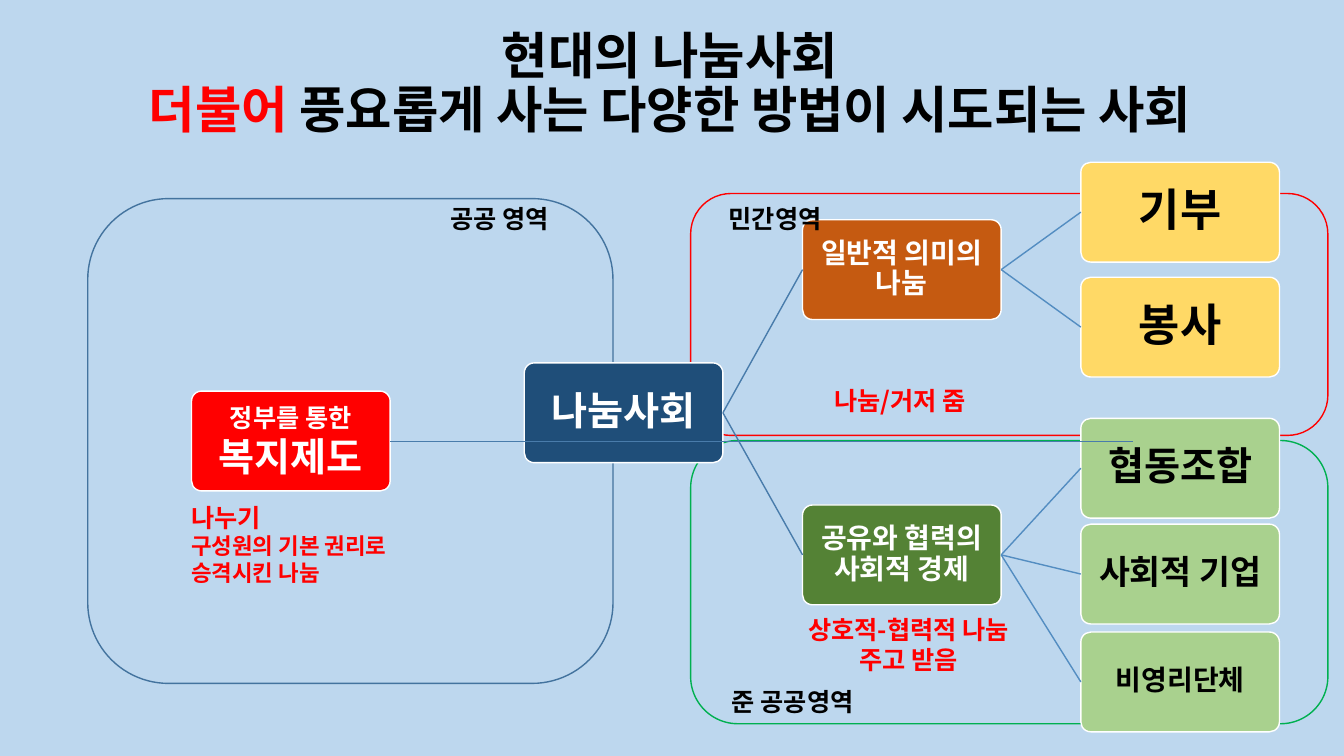
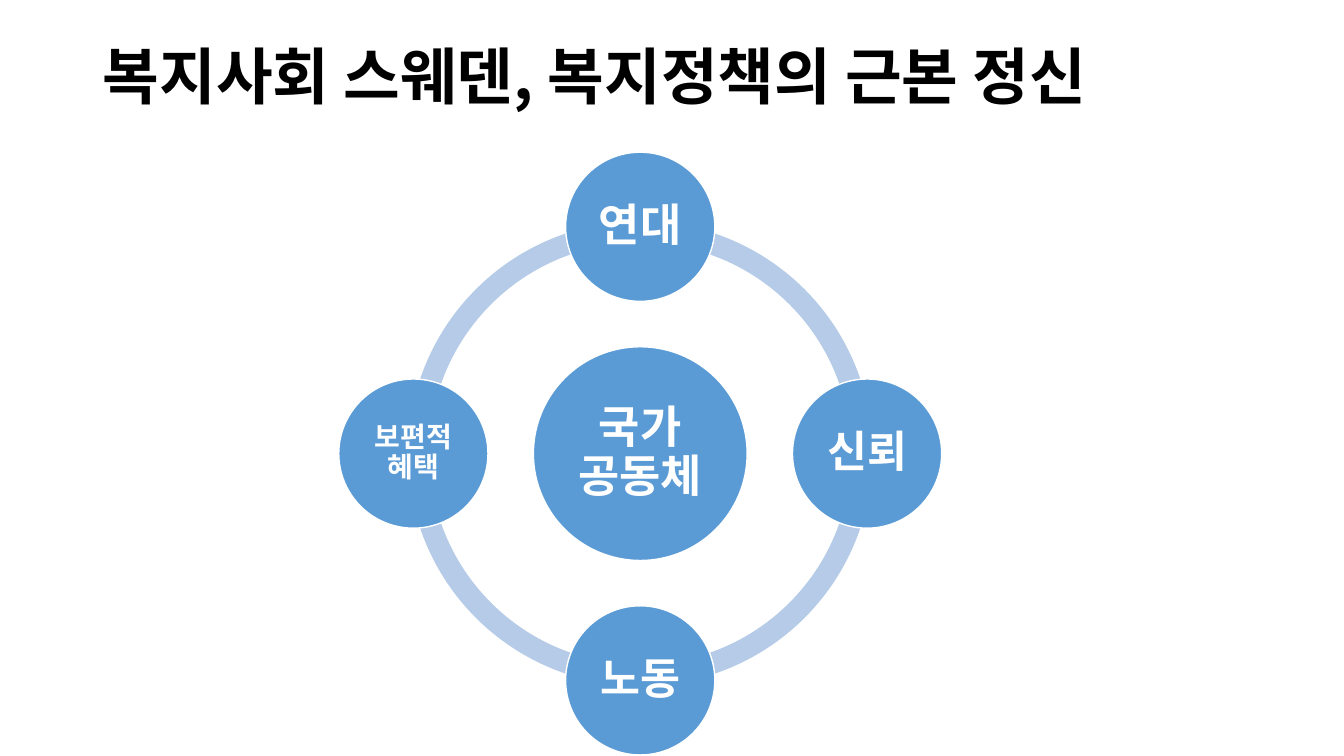
from lxml.etree import SubElement
from pptx import Presentation
from pptx.dml.color import RGBColor
from pptx.enum.shapes import MSO_CONNECTOR, MSO_SHAPE
from pptx.enum.text import MSO_ANCHOR, PP_ALIGN
from pptx.oxml.ns import qn
from pptx.util import Inches, Pt

FONT = "Noto Sans CJK KR"
BLACK = RGBColor(0x00, 0x00, 0x00)
WHITE = RGBColor(0xFF, 0xFF, 0xFF)
RED = RGBColor(0xFF, 0x00, 0x00)
GREEN = RGBColor(0x00, 0xB0, 0x50)
SKY = RGBColor(0xBD, 0xD7, 0xEE)
STEEL = RGBColor(0x43, 0x73, 0x9E)
NAVY = RGBColor(0x1F, 0x4E, 0x79)
RUST = RGBColor(0xC5, 0x5A, 0x11)
GOLD = RGBColor(0xFF, 0xD9, 0x66)
MOSS = RGBColor(0x54, 0x82, 0x35)
LIME = RGBColor(0xA9, 0xD1, 0x8E)
BLUE = RGBColor(0x5B, 0x9B, 0xD5)
PALE = RGBColor(0xB5, 0xCB, 0xE7)
STEM = RGBColor(0x49, 0x7C, 0xAB)
TWIG = RGBColor(0x53, 0x8D, 0xC1)


def write(shape, rows, ink, align=PP_ALIGN.CENTER, gap=0.9,
          anchor=MSO_ANCHOR.MIDDLE, inset=None):
    """Fill a shape with bold paragraphs, one per (text, size) row."""
    frame = shape.text_frame
    frame.word_wrap = True
    frame.vertical_anchor = anchor
    if inset is not None:
        frame.margin_left = frame.margin_right = Inches(inset)
        frame.margin_top = frame.margin_bottom = Inches(inset)
    for i, (text, size) in enumerate(rows):
        para = frame.add_paragraph() if i else frame.paragraphs[0]
        para.text = text
        para.alignment = align
        para.line_spacing = gap
        para.font.name = FONT
        para.font.size = Pt(size)
        para.font.bold = True
        para.font.color.rgb = ink
        props = para._p.pPr.find(qn("a:defRPr"))
        SubElement(props, qn("a:ea"), typeface=FONT)


def draw(slide, kind, box, fill=None, line=None):
    """Add a flat preset shape; box is left, top, width, height."""
    shape = slide.shapes.add_shape(kind, *map(Inches, box))
    shape.shadow.inherit = False
    if fill is None:
        shape.fill.background()
    else:
        shape.fill.solid()
        shape.fill.fore_color.rgb = fill
    if line is None:
        shape.line.fill.background()
    else:
        shape.line.color.rgb = line
        shape.line.width = Pt(1)
    return shape


deck = Presentation()
deck.slide_width = Inches(13.33)
deck.slide_height = Inches(7.5)

# Slides with their background and title
heads = [
    (SKY, (0.29, 0.12, 12.71, 1.45), PP_ALIGN.CENTER,
     [("현대의 나눔사회", 36), ("더불어", 36)]),
    (WHITE, (0.92, 0.06, 11.5, 1.45), PP_ALIGN.LEFT,
     [("복지사회 스웨덴, 복지정책의 근본 정신", 44)]),
]
titles = []
for back, box, align, rows in heads:
    slide = deck.slides.add_slide(deck.slide_layouts[6])
    slide.background.fill.solid()
    slide.background.fill.fore_color.rgb = back
    title = slide.shapes.add_textbox(*map(Inches, box))
    write(title, rows, BLACK, align)
    titles.append(title)
tree, wheel = deck.slides

motto = titles[0].text_frame.paragraphs[1]
motto.runs[0].font.color.rgb = RED
motto.add_run().text = " 풍요롭게 사는 다양한 방법이 시도되는 사회"

# Slide 1: outlines of the three sectors
for box, line in [
    ((6.85, 4.37, 6.32, 2.81), GREEN),
    ((6.85, 1.92, 6.32, 2.4), RED),
    ((0.87, 1.97, 5.21, 4.81), STEEL),
]:
    draw(tree, MSO_SHAPE.ROUNDED_RECTANGLE, box, line=line)

# Slide 1: boxes of the tree, with the index of the parent box
WIDE, HIGH = 1.97, 0.99
ROOT_X, MID_X, LEAF_X = 5.2, 7.96, 10.72
nodes = [
    ("나눔사회", 28, ROOT_X, 3.6, NAVY, WHITE, None),
    ("일반적 의미의 나눔", 20, MID_X, 2.18, RUST, WHITE, 0),
    ("공유와 협력의 사회적 경제", 20, MID_X, 5.01, MOSS, WHITE, 0),
    ("기부", 32, LEAF_X, 1.61, GOLD, BLACK, 1),
    ("봉사", 32, LEAF_X, 2.75, GOLD, BLACK, 1),
    ("협동조합", 28, LEAF_X, 4.15, LIME, BLACK, 2),
    ("사회적 기업", 24, LEAF_X, 5.2, LIME, BLACK, 2),
    ("비영리단체", 20, LEAF_X, 6.27, LIME, BLACK, 2),
]
links = [(3.87, 4.38, 11.24, 4.38, STEM)]
for text, size, x, y, fill, ink, up in nodes:
    node = draw(tree, MSO_SHAPE.ROUNDED_RECTANGLE, (x, y, WIDE, HIGH),
                fill, WHITE)
    node.adjustments[0] = 0.1
    write(node, [(text, size)], ink, inset=0.01)
    if up is not None:
        left, top = nodes[up][2:4]
        links.append((left + WIDE, top + HIGH / 2, x, y + HIGH / 2,
                      TWIG if up else STEM))

state = draw(tree, MSO_SHAPE.ROUNDED_RECTANGLE, (1.9, 3.88, WIDE, HIGH),
             RED, WHITE)
state.adjustments[0] = 0.1
write(state, [("정부를 통한", 18), ("복지제도", 28)], WHITE, gap=1.0)

# Slide 1: lines between the boxes
for *ends, color in links:
    link = tree.shapes.add_connector(MSO_CONNECTOR.STRAIGHT,
                                     *map(Inches, ends))
    link.line.color.rgb = color
    link.line.width = Pt(1)
    SubElement(link._element.spPr, qn("a:effectLst"))

# Slide 1: labels
for box, rows, ink, align in [
    ((8.18, 3.77, 1.66, 0.4), [("나눔/거저 줌", 18)], RED, PP_ALIGN.LEFT),
    ((7.8, 6.04, 2.42, 0.71),
     [("상호적-협력적 나눔", 18), ("주고 받음", 18)], RED, PP_ALIGN.CENTER),
    ((1.8, 4.93, 2.46, 0.94),
     [("나누기", 18), ("구성원의 기본 권리로", 16), ("승격시킨 나눔", 16)],
     RED, PP_ALIGN.LEFT),
    ((4.37, 1.97, 1.3, 0.4), [("공공 영역", 18)], BLACK, PP_ALIGN.LEFT),
    ((7.13, 1.97, 1.21, 0.4), [("민간영역", 18)], BLACK, PP_ALIGN.LEFT),
    ((7.16, 6.76, 1.55, 0.4), [("준 공공영역", 18)], BLACK, PP_ALIGN.LEFT),
]:
    label = tree.shapes.add_textbox(*map(Inches, box))
    write(label, rows, ink, align, 1.0, MSO_ANCHOR.TOP)

# Slide 2: ring
HUB_X, HUB_Y, RING, REACH = 6.35, 4.5, 4.61, 2.25
ring = draw(wheel, MSO_SHAPE.DONUT,
            (HUB_X - RING / 2, HUB_Y - RING / 2, RING, RING), PALE)
ring.adjustments[0] = 0.046

# Slide 2: hub and the four values around it
for rows, across, down, size in [
    ([("국가", 32), ("공동체", 32)], 0, 0, 2.12),
    ([("연대", 32)], 0, -1, 1.48),
    ([("신뢰", 31)], 1, 0, 1.48),
    ([("노동", 31)], 0, 1, 1.48),
    ([("보편적 혜택", 20)], -1, 0, 1.48),
]:
    x = HUB_X + across * REACH - size / 2
    y = HUB_Y + down * REACH - size / 2
    disc = draw(wheel, MSO_SHAPE.OVAL, (x, y, size, size), BLUE, WHITE)
    write(disc, rows, WHITE, inset=0.03)

deck.save("out.pptx")
